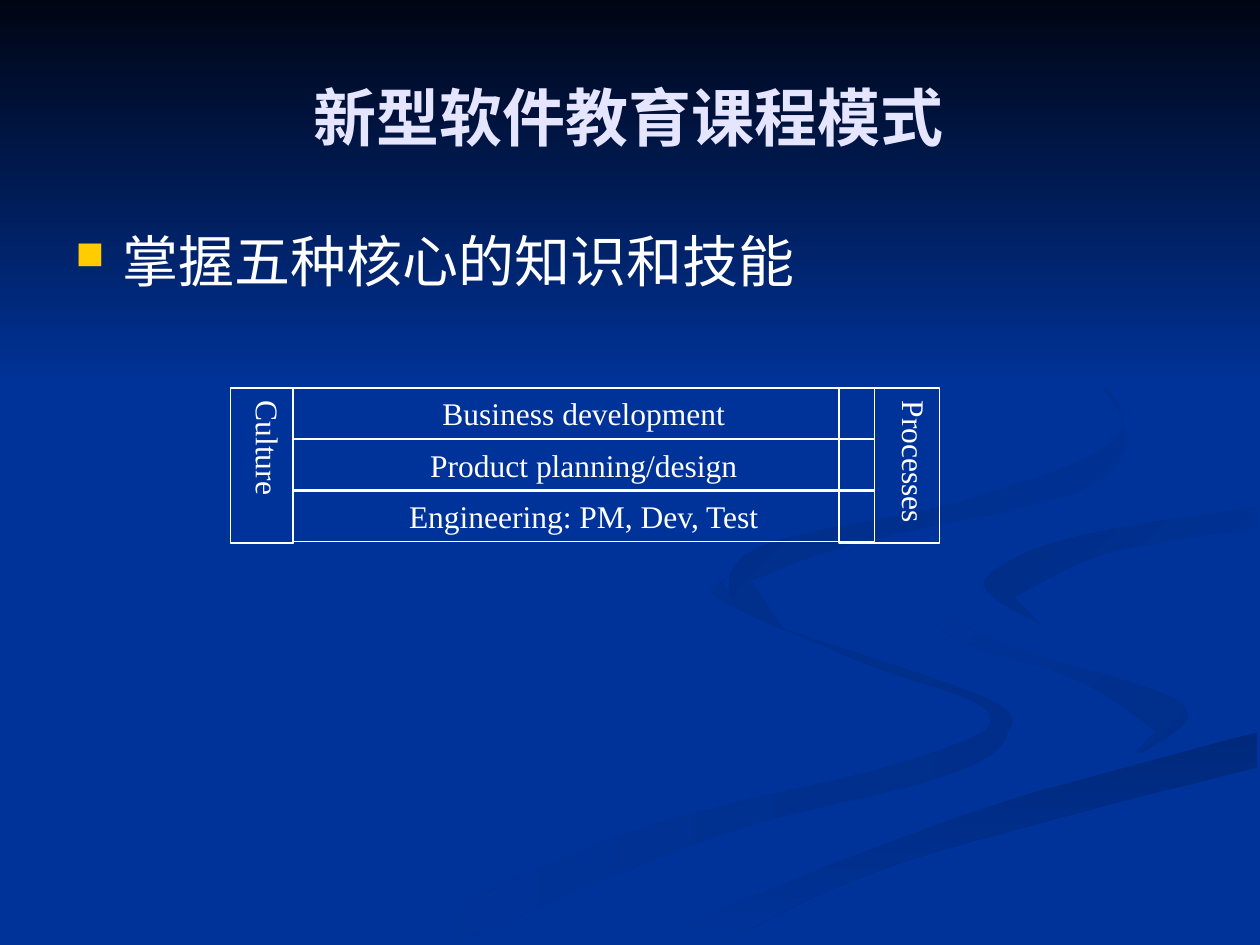
"""Build the slide on a new course model for software education."""
from lxml import etree
from pptx import Presentation
from pptx import util as u
from pptx.dml import color
from pptx.enum import shapes, text
from pptx.oxml import ns

Pt = u.Pt
WIDE, HIGH = 720, 540
BLUE, WHITE, LILAC, GOLD = "003399", "FFFFFF", "E5E5FF", "FFCC00"
SERIF, SANS = "Times New Roman", "Arial"
UNIT, STEPS = Pt(0.72), 5

TITLE = "新型软件教育课程模式"
POINT = "掌握五种核心的知识和技能"
ROWS = ["Business development", "Product planning/design", "Engineering: PM, Dev, Test"]
SIDES = [("Processes", 479.5, 57.6), ("Culture", 131.8, 36)]
LEFT, TOP, LONG, THICK, STEP, TALL = 167.3, 221.8, 332.6, 28.8, 29.4, 88.6

SHORE = [(998, 581), (764, 647), (503, 749)]
BEND = [(998, 402), (850, 427), (781, 462)]
SWIRLS = [
    ("002E8A", BLUE, 180, [
        [(300, 749), (499, 661), (727, 602), (785, 566), (682, 525), (572, 476), (575, 459)],
        [(574, 464), (614, 496), (781, 553), (800, 581), (756, 614), (564, 665), (361, 749)]]),
    ("002E8A", BLUE, 225, [
        [(724, 464), (783, 506), (905, 540), (943, 570), (894, 605)],
        [(917, 580), (854, 539), (755, 505), (724, 464)]]),
    ("00297C", BLUE, 90, [[(571, 749), (722, 682), (998, 609)], SHORE]),
    (BLUE, BLUE, 0, [
        [(477, 749), (743, 643), (936, 587), (930, 553), (792, 509), (725, 464),
         (755, 432), (851, 411), (998, 387)],
        BEND + [(848, 503), (998, 538)], SHORE]),
    (BLUE, "002C85", 225, [
        BEND + [(826, 496)], [(805, 474), (878, 439), (998, 420)]]),
    (BLUE, "002B81", 225, [
        [(762, 233), (862, 292), (886, 348), (763, 398), (605, 433), (580, 474), (622, 500)],
        [(596, 461), (683, 430), (855, 391), (894, 344), (843, 275), (762, 233)]]),
]
SKY = [(0, 0), (0, 308), (1000, 308), (1000, 0)]


def rgb(code):
    return color.RGBColor.from_string(code)


def put(item, form):
    for name, value in form.items():
        setattr(item, name, value)


def blend(a, b, c, d, t):
    return (2 * b + (c - a) * t + (2 * a - 5 * b + 4 * c - d) * t ** 2
            + (3 * b - a - 3 * c + d) * t ** 3) / 2


def smooth(dots):
    ends = dots[:1] + dots + dots[-1:]
    curve = [tuple(blend(*axis, step / STEPS) for axis in zip(*four))
             for four in zip(ends, ends[1:], ends[2:], ends[3:])
             for step in range(STEPS)]
    return curve + dots[-1:]


def band(slide, first, last, turn, dots):
    pen = slide.shapes.build_freeform(*dots[0], scale=UNIT)
    pen.add_line_segments(dots[1:], close=True)
    shape = pen.convert_to_shape()
    shape.shadow.inherit = False
    shape.line.fill.background()
    fill = shape.fill
    if first == last:
        fill.solid()
        fill.fore_color.rgb = rgb(first)
        return
    fill.gradient()
    fill.gradient_angle = (360 - turn) % 360
    for stop, code in zip(fill.gradient_stops, (first, last)):
        stop.color.rgb = rgb(code)


def write(shape, words, size, face, code, bold=False, align=text.PP_ALIGN.CENTER,
          anchor=text.MSO_ANCHOR.TOP, before=0, pads=(7.2, 3.6)):
    side, end = map(Pt, pads)
    frame = shape.text_frame
    put(frame, {"word_wrap": True, "vertical_anchor": anchor, "margin_left": side,
                "margin_right": side, "margin_top": end, "margin_bottom": end})
    para = frame.paragraphs[0]
    put(para, {"alignment": align, "space_before": Pt(before)})
    run = para.add_run()
    run.text = words
    put(run.font, {"size": Pt(size), "name": face, "bold": bold})
    run.font.color.rgb = rgb(code)
    return para


def box(slide, words, left, top, width, height, turned=False):
    shape = slide.shapes.add_shape(
        shapes.MSO_SHAPE.RECTANGLE, *map(Pt, (left, top, width, height)))
    shape.shadow.inherit = False
    shape.fill.background()
    shape.line.color.rgb = rgb(WHITE)
    shape.line.width = Pt(0.75)
    pads = (3.6, 7.2) if turned else (7.2, 3.6)
    write(shape, words, 18, SERIF, WHITE, before=11.2, pads=pads)
    shape.text_frame.auto_size = text.MSO_AUTO_SIZE.SHAPE_TO_FIT_TEXT
    if turned:
        shape.text_frame._txBody.bodyPr.set("vert", "eaVert")


def bullet(para, sign, code, share, dent):
    props = para._p.get_or_add_pPr()
    for name, value in {"marL": Pt(dent), "indent": -Pt(dent)}.items():
        props.set(name, str(int(value)))
    tint = etree.SubElement(props, ns.qn("a:buClr"))
    etree.SubElement(tint, ns.qn("a:srgbClr"), val=code)
    etree.SubElement(props, ns.qn("a:buSzPct"), val=str(share * 1000))
    etree.SubElement(props, ns.qn("a:buChar"), char=sign)


def main():
    deck = Presentation()
    put(deck, {"slide_width": Pt(WIDE), "slide_height": Pt(HIGH)})
    slide = deck.slides.add_slide(deck.slide_layouts[6])
    ground = slide.background.fill
    ground.solid()
    ground.fore_color.rgb = rgb(BLUE)
    for first, last, turn, edges in SWIRLS:
        band(slide, first, last, turn, [dot for edge in edges for dot in smooth(edge)])
    band(slide, "000514", BLUE, 90, SKY)

    body = slide.shapes.add_textbox(*map(Pt, (36, 126, 648, 356.4)))
    para = write(body, POINT, 32, SERIF, WHITE, align=text.PP_ALIGN.LEFT, before=8)
    bullet(para, "■", GOLD, 70, 27)
    head = slide.shapes.add_textbox(*map(Pt, (11.5, 21.6, 694.8, 90)))
    write(head, TITLE, 36, SANS, LILAC, bold=True, anchor=text.MSO_ANCHOR.MIDDLE)

    for row, words in enumerate(ROWS):
        box(slide, words, LEFT, TOP + row * STEP, LONG, THICK)
    for words, left, width in SIDES:
        box(slide, words, left, TOP, width, TALL, turned=True)
    deck.save("out.pptx")


if __name__ == "__main__":
    main()
